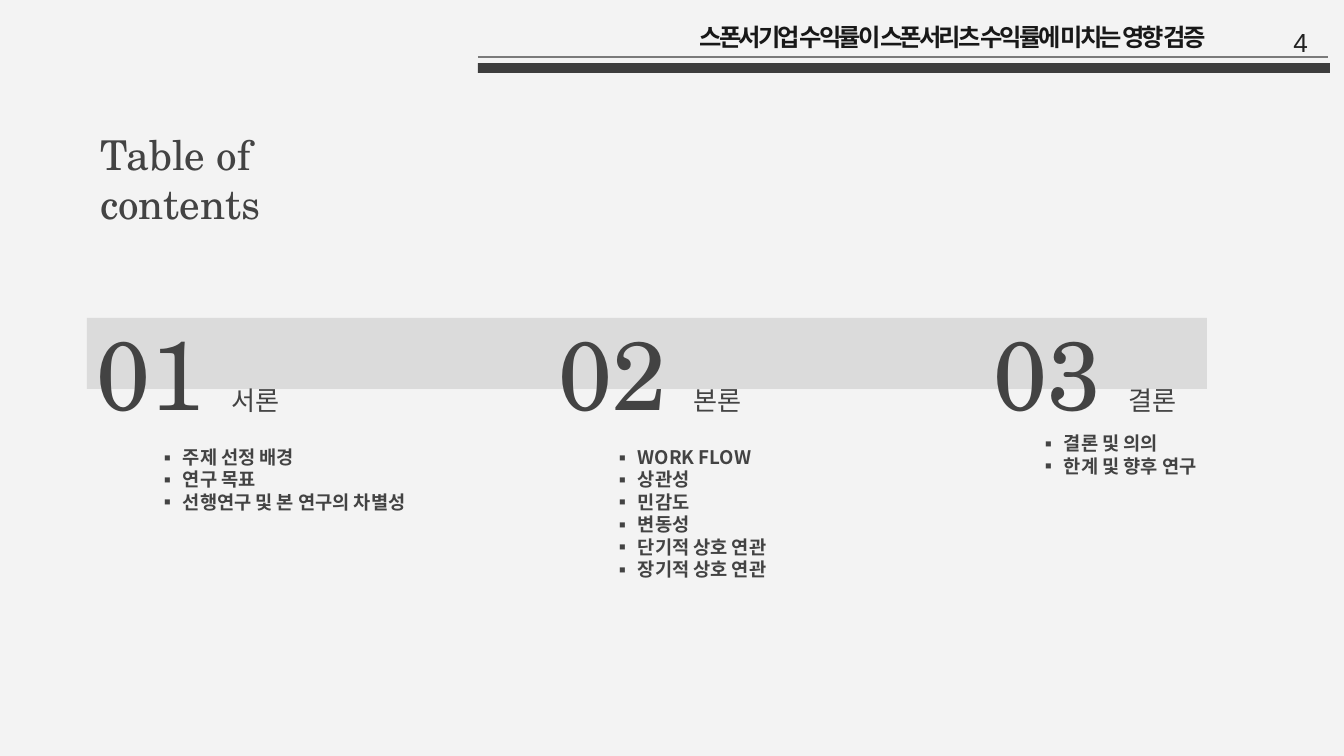
from pptx import Presentation
from pptx.dml.color import RGBColor
from pptx.enum.shapes import MSO_CONNECTOR as CONN, MSO_SHAPE as SHAPE
from pptx.enum.text import MSO_ANCHOR as ANCHOR, MSO_AUTO_SIZE as AUTO, PP_ALIGN as ALIGN
from pptx.oxml.ns import qn
from pptx.util import Emu, Pt
from lxml.etree import SubElement


def px(n):
    return Emu(round(n * 914400 / 134.4))


def rgb(value):
    return RGBColor.from_string(value)


class Deck:
    """Style of the deck and the slide being built."""
    SERIF, SANS, PLAIN = "TeX Gyre Schola", "Noto Sans CJK KR", "Arial"
    INK, PAPER, BAND, RULE, HAIR = "434343", "F3F3F3", "DBDBDB", "3D3D3D", "7A7A7A"

    def __init__(self):
        self.prs = Presentation()
        self.prs.slide_width, self.prs.slide_height = px(1344), px(756)
        self.s = self.prs.slides.add_slide(self.prs.slide_layouts.get_by_name("Comparison"))
        fill = self.s.background.fill
        fill.solid()
        fill.fore_color.rgb = rgb(self.PAPER)
        self.title_ph, *self.bodies = self.s.placeholders

    def frame(self, sp, box, inset=(13, 13), anchor=ANCHOR.TOP):
        sp.left, sp.top, sp.width, sp.height = map(px, box)
        tf = sp.text_frame
        tf.auto_size, tf.word_wrap, tf.vertical_anchor = AUTO.NONE, True, anchor
        tf.margin_left = tf.margin_right = px(inset[0])
        tf.margin_top = tf.margin_bottom = px(inset[1])
        return tf

    def run(self, p, text, size, font, color=INK, bold=False, spacing=0):
        r = p.add_run()
        r.text = text
        f = r.font
        f.size, f.name, f.bold = Pt(size), font, bold
        f.color.rgb = rgb(color)
        rPr = r._r.get_or_add_rPr()
        SubElement(rPr, qn("a:ea"), typeface=font)
        if spacing:
            rPr.set("spc", str(round(spacing * 100)))

    def text(self, box, runs, align=ALIGN.LEFT, line=1.0, **frame):
        tf = self.frame(self.s.shapes.add_textbox(0, 0, 0, 0), box, **frame)
        p = tf.paragraphs[0]
        p.alignment, p.line_spacing = align, line
        for r in runs:
            self.run(p, *r)

    def title(self, box, text):
        p = self.frame(self.title_ph, box).paragraphs[0]
        p.alignment = ALIGN.LEFT
        self.run(p, text, 22, self.SERIF)

    def bullet(self, p):
        pPr = p._p.get_or_add_pPr()
        pPr.set("marL", str(px(25)))
        pPr.set("indent", str(px(-25)))
        SubElement(SubElement(pPr, qn("a:buClr")), qn("a:srgbClr"), val=self.INK)
        SubElement(pPr, qn("a:buFont"), typeface=self.SANS)
        SubElement(pPr, qn("a:buChar"), char="▪")

    def bullets(self, box, items):
        tf = self.frame(self.bodies.pop(0), box)
        for i, item in enumerate(items):
            p = tf.add_paragraph() if i else tf.paragraphs[0]
            self.bullet(p)
            p.alignment, p.line_spacing = ALIGN.LEFT, Pt(12)
            p.space_before = p.space_after = Pt(0)
            self.run(p, item, 10, self.SANS, bold=True)

    def rect(self, box, color):
        sp = self.s.shapes.add_shape(SHAPE.RECTANGLE, *map(px, box))
        sp.shadow.inherit = False
        sp.fill.solid()
        sp.fill.fore_color.rgb = rgb(color)
        sp.line.fill.background()

    def line(self, x1, y1, x2, y2, color):
        c = self.s.shapes.add_connector(CONN.STRAIGHT, *map(px, (x1, y1, x2, y2)))
        c.line.color.rgb, c.line.width = rgb(color), Pt(1)
        SubElement(c._element.spPr, qn("a:effectLst"))

    def save(self):
        for ph in self.bodies:
            ph._element.getparent().remove(ph._element)
        self.prs.save("out.pptx")


SECTIONS = [
    ("01", "서론", (-1, 294), (145, 433, 294),
     ["주제 선정 배경", "연구 목표", "선행연구 및 본 연구의 차별성"]),
    ("02", "본론", (497, 258), (600, 433, 245),
     ["WORK FLOW", "상관성", "민감도", "변동성", "단기적 상호 연관", "장기적 상호 연관"]),
    ("03", "결론", (818, 372), (1026, 419, 203),
     ["결론 및 의의", "한계 및 향후 연구"]),
]


def main():
    d = Deck()
    d.rect((87, 318, 1120, 71), d.BAND)
    d.title((87, 116, 258, 138), "Table of contents")
    for number, name, (left, width), (x, y, w), items in SECTIONS:
        d.text((left, 329, width, 85),
               [(number + " ", 52, d.SERIF), (name, 14, d.SANS)],
               ALIGN.RIGHT, anchor=ANCHOR.MIDDLE)
        d.bullets((x, y, w, 85), items)
    d.text((687, 1, 597, 87),
           [("스폰서기업 수익률이 스폰서리츠 수익률에 미치는 영향 검증",
             13, d.SANS, "181818", True, -1.5)], line=1.5, inset=(13, 7))
    d.line(478, 57, 1328, 57, d.HAIR)
    d.rect((478, 63, 852, 10), d.RULE)
    d.text((1019, 19, 302, 40), [("4", 14, d.PLAIN, "222222")], ALIGN.RIGHT, inset=(13, 7))
    d.save()


if __name__ == "__main__":
    main()
